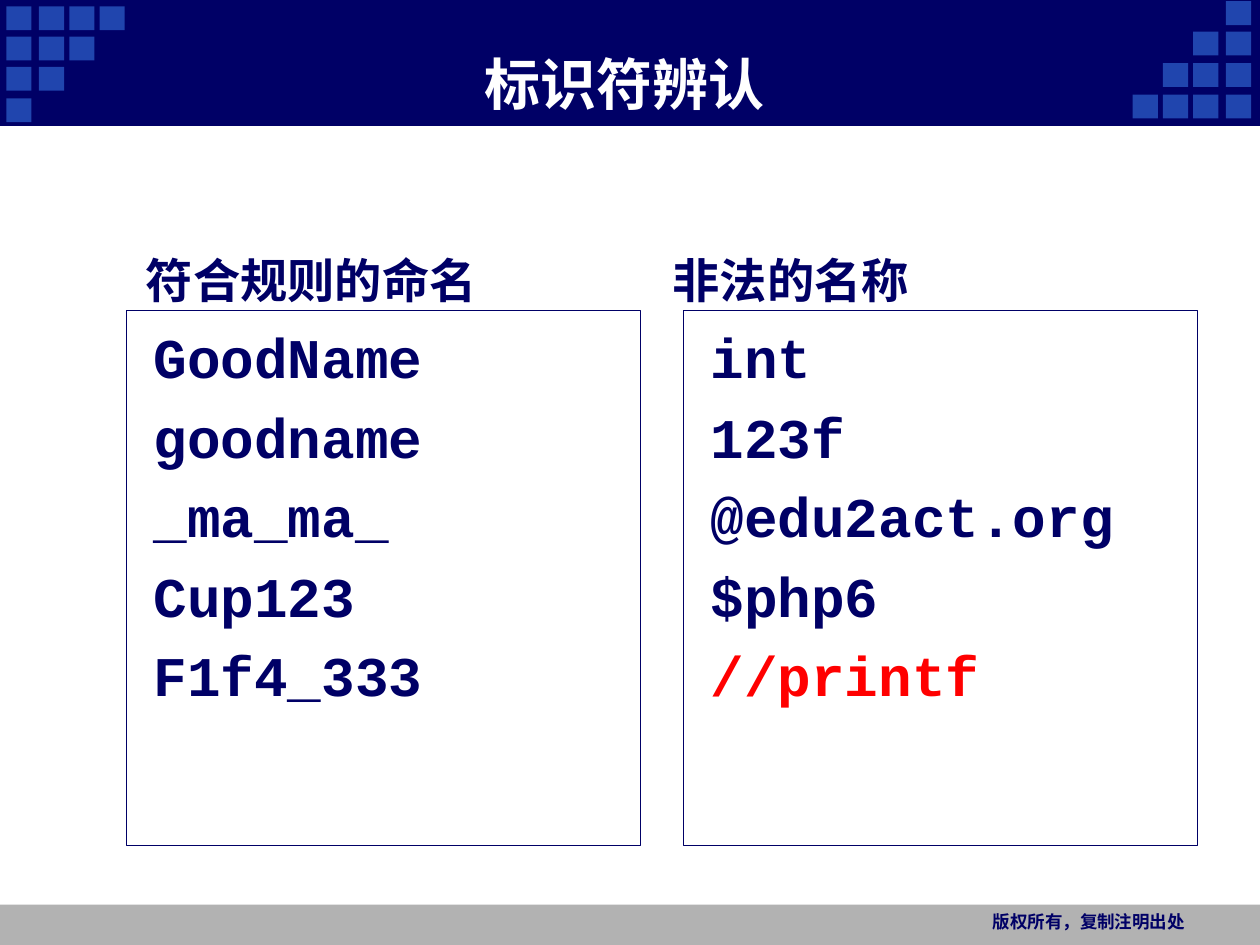
from pptx import Presentation
from pptx.dml.color import RGBColor
from pptx.enum.shapes import MSO_SHAPE as Shape
from pptx.enum.text import MSO_ANCHOR as Anchor, PP_ALIGN as Align
from pptx.util import Inches, Pt

NAVY = RGBColor(0x00, 0x00, 0x66)
BLUE = RGBColor(0x20, 0x45, 0xAE)
GRAY = RGBColor(0xB2, 0xB2, 0xB2)
WHITE = RGBColor(0xFF, 0xFF, 0xFF)
RED = RGBColor(0xFF, 0x00, 0x00)

prs = Presentation()
prs.slide_width, prs.slide_height = Inches(10), Inches(7.5)
slide = prs.slides.add_slide(prs.slide_layouts[5])
shapes = slide.shapes


def add_rect(x, y, w, h, fill=None):
    """Add a rectangle without outline; no fill colour leaves it hollow."""
    rect = shapes.add_shape(Shape.RECTANGLE, Inches(x), Inches(y), Inches(w), Inches(h))
    rect.shadow.inherit = False
    rect.line.fill.background()
    if fill is None:
        rect.fill.background()
    else:
        rect.fill.solid()
        rect.fill.fore_color.rgb = fill
    return rect


def write(frame, lines, size, font="Courier New", color=NAVY, align=Align.LEFT, hang=False):
    """Fill a text frame with bold lines, with a hanging indent if asked."""
    frame.word_wrap = True
    frame.text = "\n".join(lines)
    for i, para in enumerate(frame.paragraphs):
        para.alignment = align
        if hang:
            props = para._p.get_or_add_pPr()
            props.set("marL", str(Inches(0.4)))
            props.set("indent", str(Inches(-0.28)))
            para.line_spacing = 1.1
            if i:
                para.space_before = Pt(3.2)
        for run in para.runs:
            run.font.name = font
            run.font.size = Pt(size)
            run.font.bold = True
            run.font.color.rgb = color


# Footer and header bands
add_rect(0, 7.18, 10, 0.32, GRAY)
add_rect(0, 0, 10, 1, NAVY)

# Stair of squares in each corner, the right one turned half round
cols = [0.05, 0.31, 0.55, 0.79]
left_rows = [0.05, 0.29, 0.53, 0.78]
right_rows = [0.75, 0.5, 0.25, 0.01]
for r in range(4):
    for c in range(4 - r):
        add_rect(cols[c], left_rows[r], 0.2, 0.19, BLUE)
        add_rect(9.78 - cols[c], right_rows[r], 0.2, 0.19, BLUE)

# Title, raised above the header band
title = shapes.title
title.left, title.top = Inches(0.92), Inches(0.35)
title.width, title.height = Inches(8.08), Inches(0.62)
title.text_frame.vertical_anchor = Anchor.MIDDLE
write(title.text_frame, ["标识符辨认"], 32, "Arial", WHITE, Align.CENTER)
title.element.getparent().append(title.element)

foot = shapes.add_textbox(Inches(7.6), Inches(7.18), Inches(1.9), Inches(0.32))
write(foot.text_frame, ["版权所有，复制注明出处"], 10, align=Align.RIGHT)

# Two columns: heading above a framed list of names
columns = [
    (1, 0.94, "符合规则的命名",
     ["GoodName", "goodname", "_ma_ma_", "Cup123", "F1f4_333"]),
    (5.42, 5.12, "非法的名称",
     ["int", "123f", "@edu2act.org", "$php6", "//printf"]),
]
for x, head_x, head, names in columns:
    box = add_rect(x, 2.46, 4.08, 4.25)
    box.line.color.rgb = NAVY
    box.line.width = Pt(0.25)
    frame = box.text_frame
    frame.vertical_anchor = Anchor.TOP
    write(frame, names, 32, hang=True)

    label = shapes.add_textbox(Inches(head_x), Inches(1.9), Inches(4.08), Inches(0.83))
    write(label.text_frame, [head], 27, hang=True)

# The comment mark stands out as the last wrong name
frame.paragraphs[-1].runs[0].font.color.rgb = RED

prs.save("out.pptx")
